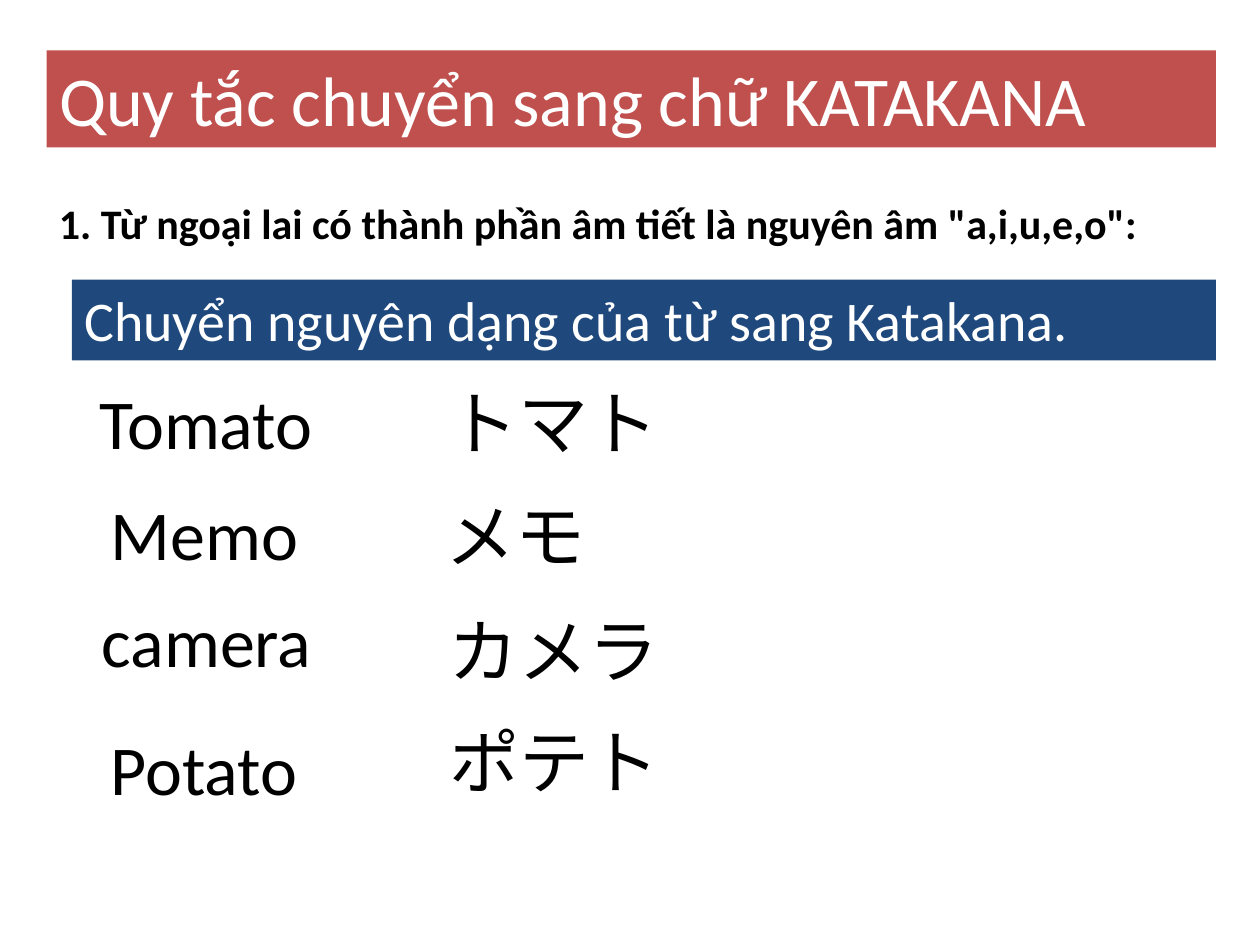
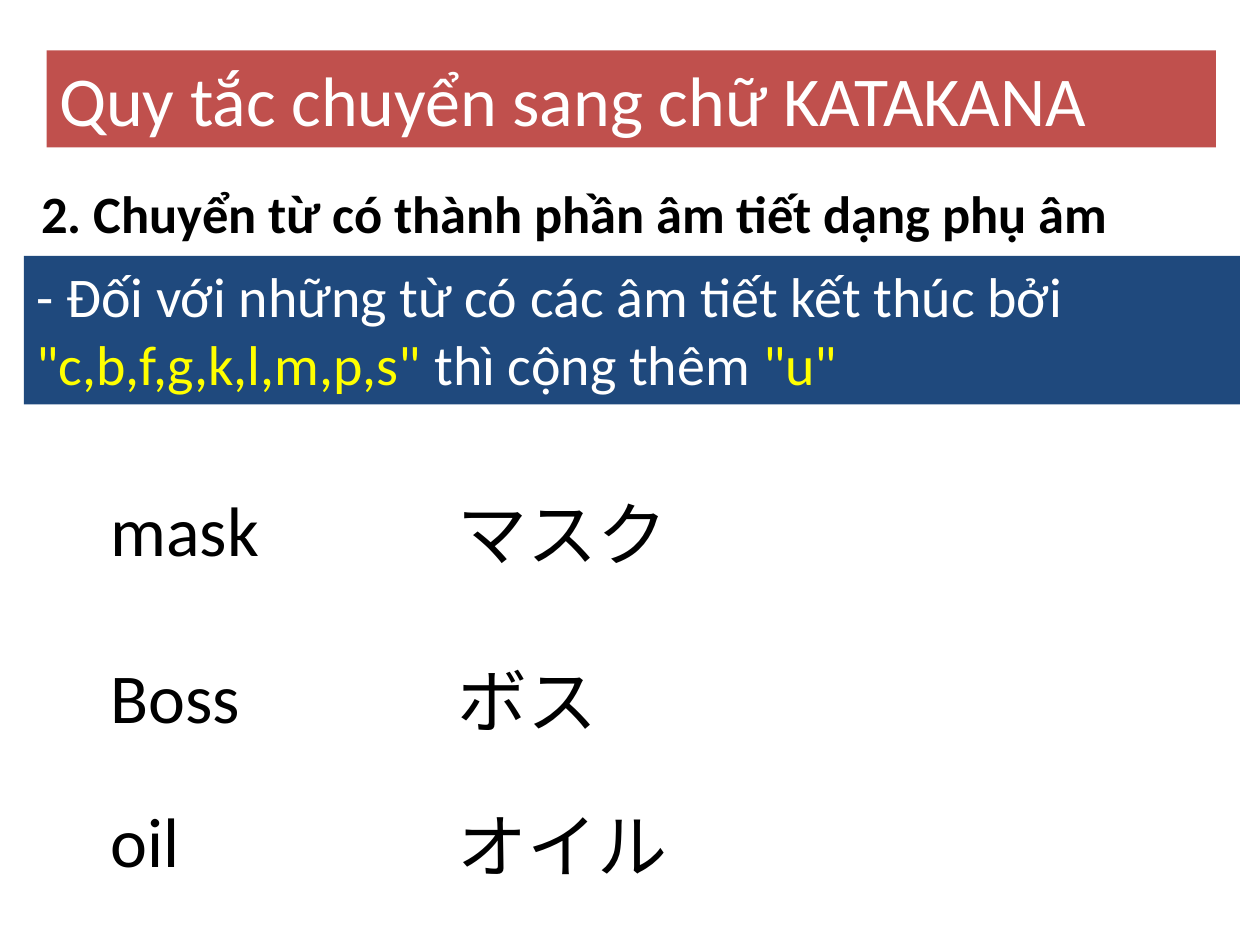
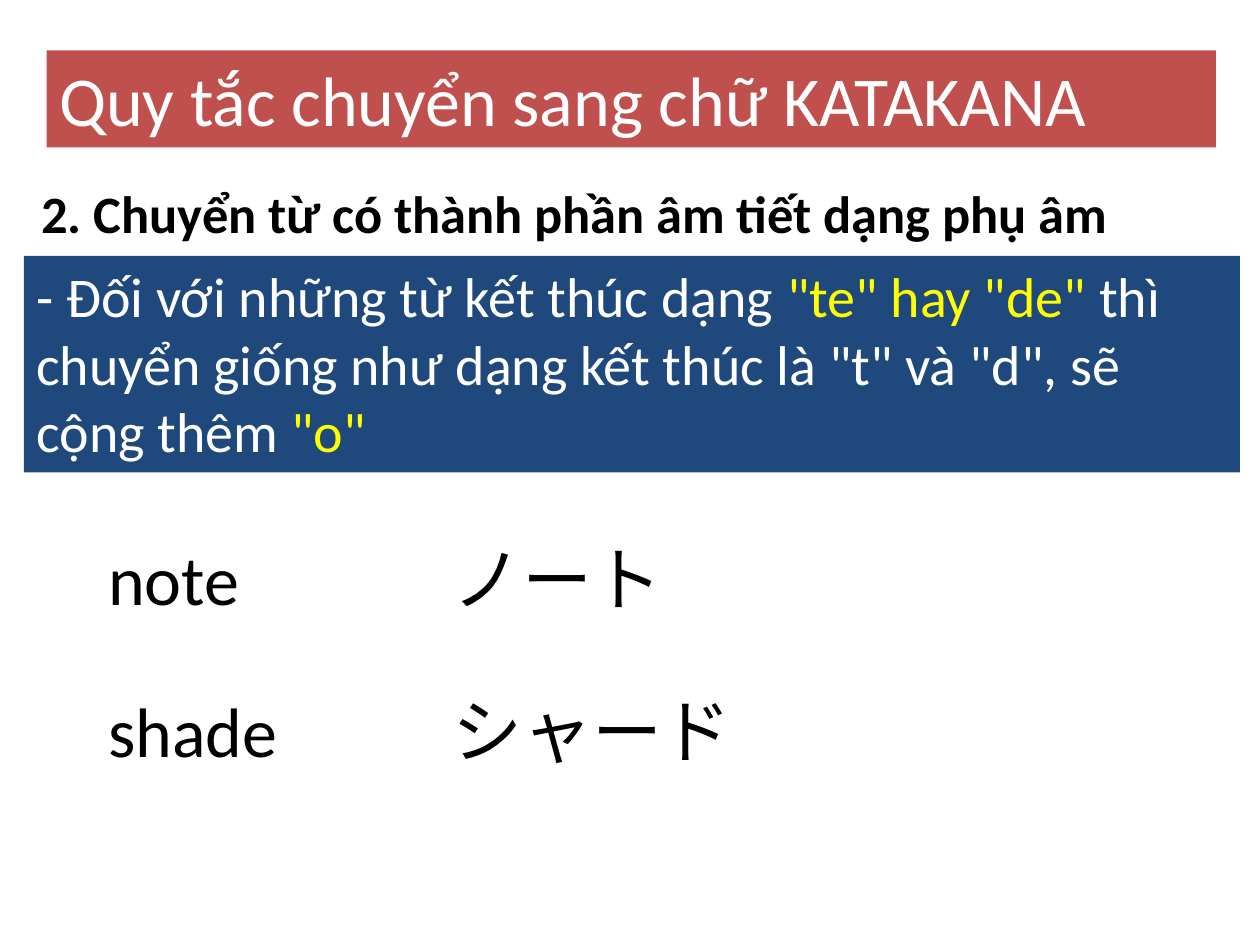
from pptx import Presentation
from pptx.dml.color import RGBColor
from pptx.enum.text import MSO_AUTO_SIZE as AutoSize
from pptx.util import Inches, Pt

FONT = "Calibri"
WHITE = RGBColor(0xFF, 0xFF, 0xFF)
BLACK = RGBColor(0x00, 0x00, 0x00)
RED = RGBColor(0xC0, 0x50, 0x4D)
NAVY = RGBColor(0x1F, 0x49, 0x7D)
YELLOW = RGBColor(0xFF, 0xFF, 0x00)

TITLE = "Quy tắc chuyển sang chữ KATAKANA"
TITLE_BOX = (0.37, 0.4, 9.28, 0.77)
WORD_SIZE, WORD_HEIGHT = 40, 0.77

CONSONANT_HEADING = {
    "text": "2. Chuyển từ có thành phần âm tiết dạng phụ âm",
    "box": (0.23, 1.39, 8.8, 0.61),
    "size": 30,
}

# Rule: (text, colour) runs. Words: (text, left, top, width).
LESSONS = [
    {
        "heading": {
            "text": "1. Từ ngoại lai có thành phần âm tiết là nguyên âm \"a,i,u,e,o\":",
            "box": (0.37, 1.52, 8.8, 0.5),
            "size": 24,
        },
        "rule_box": (0.57, 2.22, 9.08, 0.64),
        "rule": [("Chuyển nguyên dạng của từ sang Katakana.", WHITE)],
        "words": [
            ("Tomato", 0.69, 2.96, 2.14), ("トマト", 3.46, 2.96, 3.93),
            ("Memo", 0.78, 3.84, 2.28), ("メモ", 3.44, 3.86, 2.28),
            ("camera", 0.71, 4.69, 2.09), ("カメラ", 3.46, 4.77, 3.78),
            ("Potato", 0.78, 5.71, 2.28), ("ポテト", 3.47, 5.65, 3.78),
        ],
    },
    {
        "heading": CONSONANT_HEADING,
        "rule_box": (0.19, 2.03, 9.65, 1.18),
        "rule": [
            ("- Đối với những từ có các âm tiết kết thúc bởi ", WHITE),
            ("\"c,b,f,g,k,l,m,p,s\" ", YELLOW),
            ("thì cộng thêm ", WHITE),
            ("\"u\"", YELLOW),
        ],
        "words": [
            ("mask", 0.78, 3.81, 2.28), ("マスク", 3.53, 3.84, 2.28),
            ("Boss", 0.78, 5.14, 2.28), ("ボス", 3.53, 5.17, 2.28),
            ("oil", 0.78, 6.28, 2.28), ("オイル", 3.53, 6.32, 2.28),
        ],
    },
    {
        "heading": CONSONANT_HEADING,
        "rule_box": (0.19, 2.03, 9.65, 1.72),
        "rule": [
            ("- Đối với những từ kết thúc dạng ", WHITE),
            ("\"te\" hay \"de\" ", YELLOW),
            ("thì chuyển giống như dạng kết thúc là \"t\" và \"d\", sẽ cộng thêm ", WHITE),
            ("\"o\"", YELLOW),
        ],
        "words": [
            ("note", 0.76, 4.2, 2.28), ("ノート", 3.49, 4.2, 2.28),
            ("shade", 0.76, 5.41, 2.09), ("シャード", 3.49, 5.41, 3.78),
        ],
    },
]


def add_text(slide, box, runs, size, fill=WHITE, bold=False):
    """Add a filled text box holding one paragraph of coloured runs."""
    shape = slide.shapes.add_textbox(*map(Inches, box))
    shape.fill.solid()
    shape.fill.fore_color.rgb = fill
    text_frame = shape.text_frame
    text_frame.word_wrap = True
    text_frame.auto_size = AutoSize.SHAPE_TO_FIT_TEXT
    for text, color in runs:
        run = text_frame.paragraphs[0].add_run()
        run.text = text
        run.font.name = FONT
        run.font.size = Pt(size)
        run.font.bold = bold
        run.font.color.rgb = color


def add_lesson(presentation, lesson):
    slide = presentation.slides.add_slide(presentation.slide_layouts[6])

    # Heading, title band and rule band
    heading = lesson["heading"]
    add_text(slide, heading["box"], [(heading["text"], BLACK)], heading["size"], bold=True)
    add_text(slide, TITLE_BOX, [(TITLE, WHITE)], 40, RED)
    add_text(slide, lesson["rule_box"], lesson["rule"], 32, NAVY)

    # Example words beside their katakana
    for text, left, top, width in lesson["words"]:
        add_text(slide, (left, top, width, WORD_HEIGHT), [(text, BLACK)], WORD_SIZE)


def main():
    presentation = Presentation()
    presentation.slide_width = Inches(10)
    presentation.slide_height = Inches(7.5)
    for lesson in LESSONS:
        add_lesson(presentation, lesson)
    presentation.save("out.pptx")


if __name__ == "__main__":
    main()
